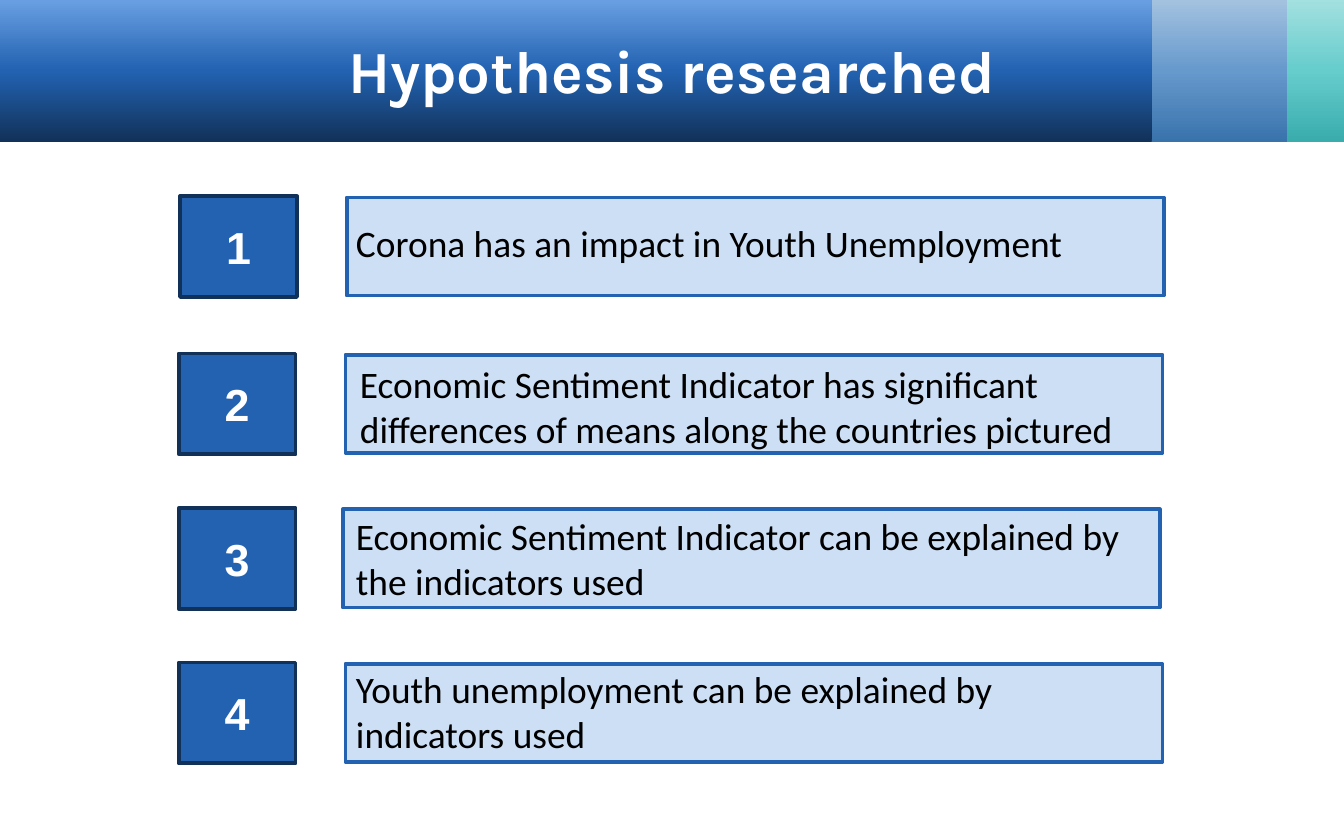
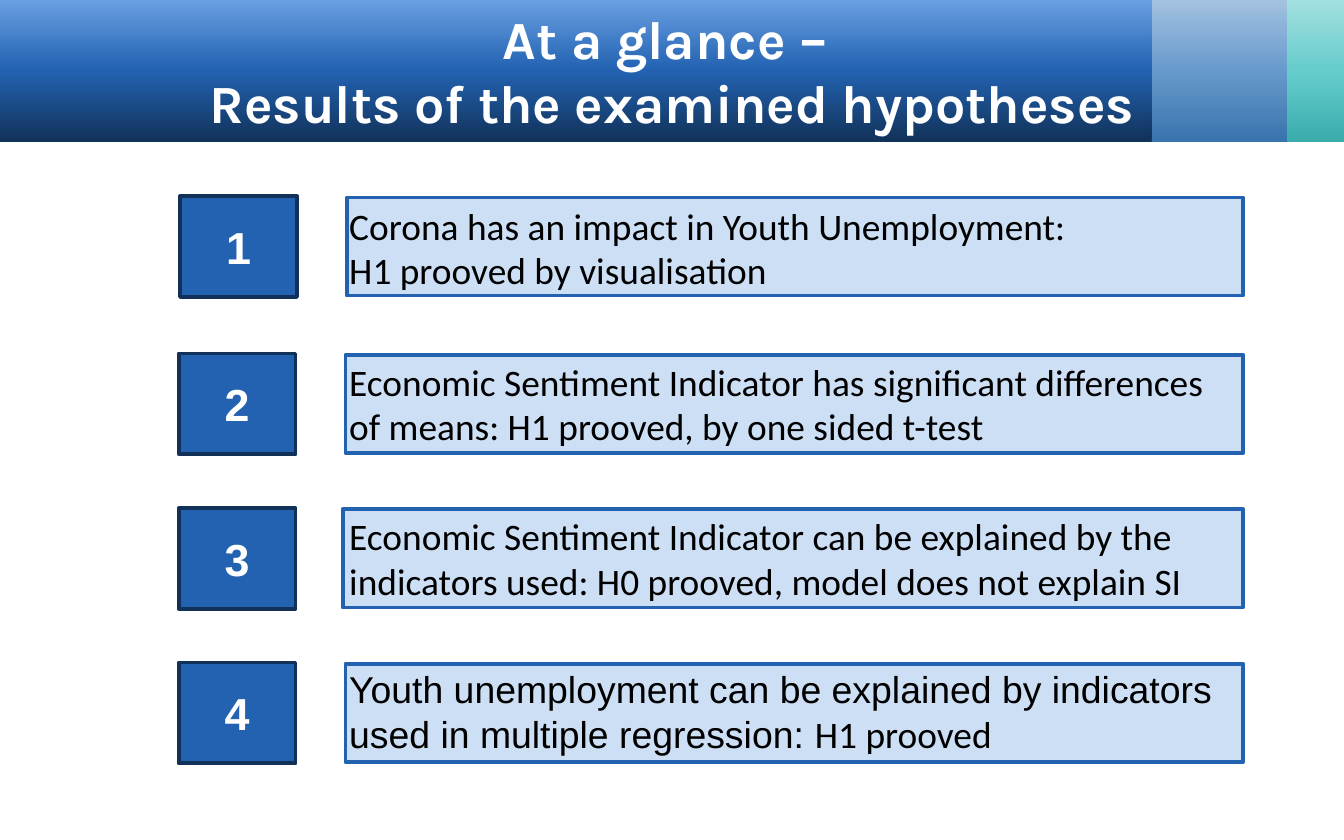
"""Build two slides that list four numbered hypotheses and their results."""
from copy import deepcopy

from pptx import Presentation
from pptx.dml.color import RGBColor
from pptx.enum.shapes import MSO_SHAPE
from pptx.enum.text import MSO_ANCHOR, MSO_AUTO_SIZE, PP_ALIGN
from pptx.util import Emu, Pt

PX = 9144
PAGE_SIZE = (1000, 625)
TITLE_AREA = (50, 8, 900, 88)
BAND_HEIGHT = 106
BADGE_SIZE = (87, 75)
PANEL_HEIGHT = 73

WHITE = RGBColor(0xFF, 0xFF, 0xFF)
BLACK = RGBColor(0x00, 0x00, 0x00)
NAVY = RGBColor(0x11, 0x31, 0x58)
BLUE = RGBColor(0x22, 0x62, 0xB1)
SKY = RGBColor(0x69, 0x9F, 0xE2)
PALE = RGBColor(0xCD, 0xDF, 0xF5)
STEEL = RGBColor(0x39, 0x73, 0xAC)
STEEL_MID = RGBColor(0x66, 0x99, 0xCC)
STEEL_LIGHT = RGBColor(0xA3, 0xC2, 0xE0)
TEAL = RGBColor(0x39, 0xAC, 0xAC)
TEAL_MID = RGBColor(0x66, 0xCC, 0xCC)
TEAL_LIGHT = RGBColor(0xA3, 0xE0, 0xE0)

BANDS = [
    (943, 58, (TEAL, TEAL_MID, TEAL_LIGHT)),
    (853, 105, (STEEL, STEEL_MID, STEEL_LIGHT)),
    (0, 857, (NAVY, BLUE, SKY)),
]
ROWS = [(134, 146, 258), (133, 263, 257), (133, 378, 255), (133, 493, 257)]

TITLE_FONT = {"name": "Karla", "bold": True}
BADGE_FONT = {"name": "Arial", "bold": True, "size": Pt(24)}
NOTE_FONT = {"name": "Calibri", "size": Pt(20)}
ARIAL_NOTE_FONT = {**NOTE_FONT, "name": "Arial"}
TITLE_FRAME = {"word_wrap": True, "auto_size": MSO_AUTO_SIZE.NONE,
               "vertical_anchor": MSO_ANCHOR.MIDDLE}
BADGE_FRAME = {"word_wrap": True, "vertical_anchor": MSO_ANCHOR.MIDDLE}
NOTE_FRAME = {"word_wrap": True, "auto_size": MSO_AUTO_SIZE.SHAPE_TO_FIT_TEXT,
              "vertical_anchor": MSO_ANCHOR.TOP}

PAGES = [
    {
        "title": "Hypothesis researched",
        "title_size": 32,
        "panel_rights": [866, 865, 863, 865],
        "notes": [
            ((255, 159, 608, 44),
             [[("Corona has an impact in Youth Unemployment", NOTE_FONT)]]),
            ((258, 264, 608, 77),
             [[("Economic Sentiment Indicator has significant differences of "
                "means along the countries pictured", NOTE_FONT)]]),
            ((255, 377, 608, 77),
             [[("Economic Sentiment Indicator can be explained by the "
                "indicators used", NOTE_FONT)]]),
            ((255, 491, 605, 77),
             [[("Youth unemployment can be explained by indicators used",
                NOTE_FONT)]]),
        ],
    },
    {
        "title": "At a glance – \vResults of the examined hypotheses",
        "title_size": 28.8,
        "panel_rights": [925] * 4,
        "notes": [
            ((250, 146, 608, 77),
             [[("Corona has an impact in Youth Unemployment:", NOTE_FONT)],
              [("H1 prooved by visualisation", NOTE_FONT)]]),
            ((250, 262, 667, 77),
             [[("Economic Sentiment Indicator has significant differences of "
                "means: H1 prooved, by one sided t-test", NOTE_FONT)]]),
            ((250, 377, 675, 77),
             [[("Economic Sentiment Indicator can be explained by the "
                "indicators used: H0 prooved, model does not explain SI",
                NOTE_FONT)]]),
            ((250, 491, 670, 77),
             [[("Youth unemployment can be explained by indicators used in "
                "multiple regression: ", ARIAL_NOTE_FONT),
               ("H1 prooved", NOTE_FONT)]]),
        ],
    },
]


def scaled(lengths):
    return [Emu(length * PX) for length in lengths]


def apply_format(target, values):
    for name, value in values.items():
        setattr(target, name, value)


def apply_font(font, values, color):
    apply_format(font, values)
    font.color.rgb = color


def add_box(page, area):
    box = page.shapes.add_shape(MSO_SHAPE.RECTANGLE, *scaled(area))
    box.shadow.inherit = False
    return box


def add_solid_box(page, area, fill, line):
    box = add_box(page, area)
    box.fill.solid()
    box.fill.fore_color.rgb = fill
    box.line.color.rgb = line
    box.line.width = Pt(2)
    return box


def move_bands_to_layout(page):
    """Draw the header bands and place them behind the layout's parts."""
    for index, (left, width, colors) in enumerate(BANDS):
        band = add_box(page, (left, 0, width, BAND_HEIGHT))
        band.line.fill.background()
        band.fill.gradient()
        band.fill.gradient_angle = 90
        stop_list = band.element.xpath(".//a:gsLst")[0]
        stop_list.append(deepcopy(stop_list[0]))
        for stop, position, color in zip(band.fill.gradient_stops, (0, 0.5, 1), colors):
            stop.position = position
            stop.color.rgb = color
        band.element.nvSpPr.cNvPr.set("id", str(20 + index))
        page.slide_layout.shapes.element.insert(2 + index, band.element)


def set_title(page, text, size):
    title = page.shapes.title
    apply_format(title, dict(zip(("left", "top", "width", "height"), scaled(TITLE_AREA))))
    apply_format(title.text_frame, TITLE_FRAME)
    para = title.text_frame.paragraphs[0]
    para.text = text
    para.alignment = PP_ALIGN.CENTER
    for span in para.runs:
        apply_font(span.font, {**TITLE_FONT, "size": Pt(size)}, WHITE)


def add_badge(page, number, left, top):
    badge = add_solid_box(page, (left, top, *BADGE_SIZE), BLUE, NAVY)
    apply_format(badge.text_frame, BADGE_FRAME)
    para = badge.text_frame.paragraphs[0]
    para.text = str(number)
    para.alignment = PP_ALIGN.CENTER
    apply_font(para.runs[0].font, BADGE_FONT, WHITE)


def add_note(page, area, paragraphs):
    frame = page.shapes.add_textbox(*scaled(area)).text_frame
    apply_format(frame, NOTE_FRAME)
    for index, spans in enumerate(paragraphs):
        para = frame.add_paragraph() if index else frame.paragraphs[0]
        para.alignment = PP_ALIGN.LEFT
        for text, font in spans:
            span = para.add_run()
            span.text = text
            apply_font(span.font, font, BLACK)


def main():
    deck = Presentation()
    deck.slide_width, deck.slide_height = scaled(PAGE_SIZE)
    layout = deck.slide_layouts.get_by_name("Title Only")
    for index, content in enumerate(PAGES):
        page = deck.slides.add_slide(layout)
        if index == 0:
            move_bands_to_layout(page)
        set_title(page, content["title"], content["title_size"])
        rows = zip(ROWS, content["panel_rights"], content["notes"])
        for number, ((left, top, panel_left), right, note) in enumerate(rows, 1):
            panel_area = (panel_left, top + 1, right - panel_left, PANEL_HEIGHT)
            add_solid_box(page, panel_area, PALE, BLUE)
            add_badge(page, number, left, top)
            add_note(page, *note)
    deck.save("out.pptx")


if __name__ == "__main__":
    main()
